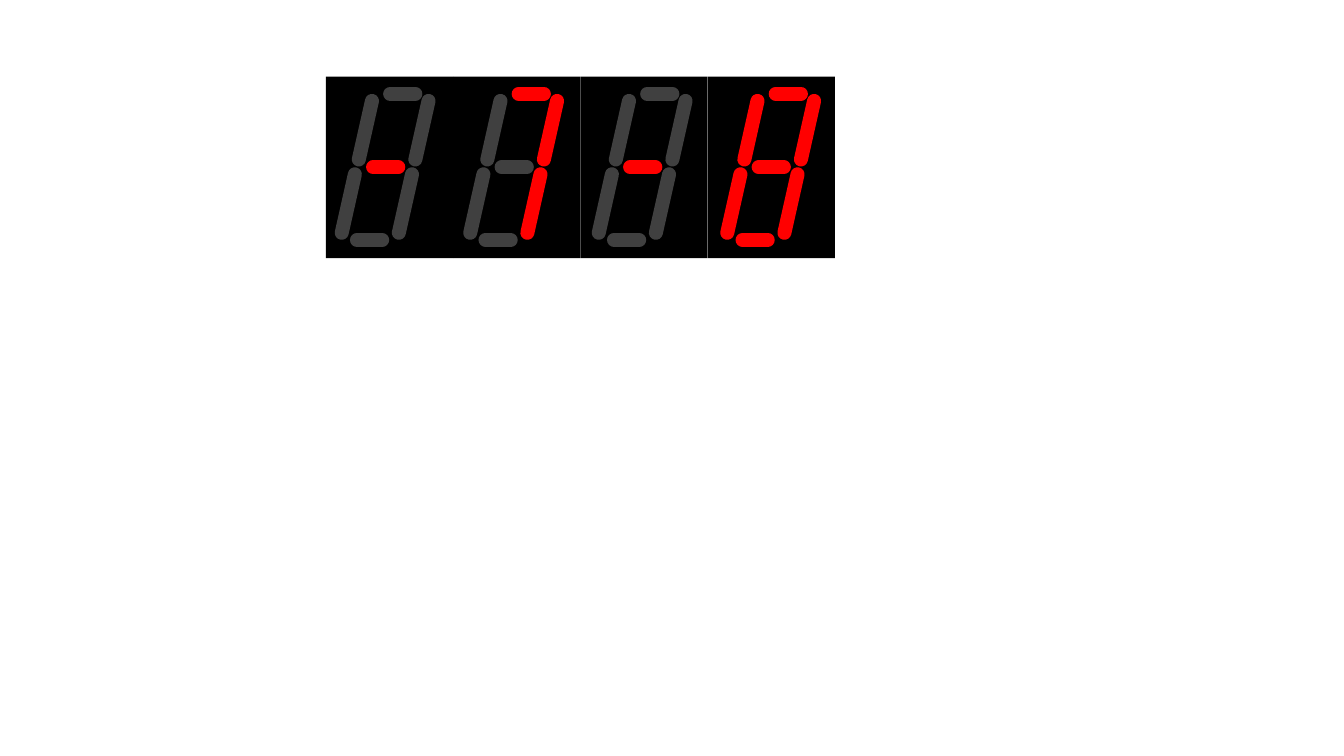
from typing import NamedTuple

from pptx import Presentation
from pptx.dml.color import RGBColor
from pptx.enum.shapes import MSO_CONNECTOR, MSO_SHAPE
from pptx.oxml.ns import qn
from pptx.oxml.xmlchemy import OxmlElement
from pptx.shapes.group import GroupShape
from pptx.slide import Slide
from pptx.util import Pt

RECTANGLE = MSO_SHAPE.RECTANGLE
STRAIGHT = MSO_CONNECTOR.STRAIGHT

BLACK = RGBColor(0x00, 0x00, 0x00)
UNLIT = RGBColor(0x40, 0x40, 0x40)
LIT = RGBColor(0xFF, 0x00, 0x00)

BLANK_LAYOUT = 6
PANEL_LEFT, PANEL_TOP = 232.8, 54.8
PANEL_WIDTH, PANEL_HEIGHT = 90.8, 129.6
PANEL_PITCH = 90.9
DIGIT_LEFT, DIGIT_PITCH = 244.1, 91.8
SEGMENT_WIDTH = 10
BAR_LENGTH = 18
SLANT, STROKE_HEIGHT = 9.4, 41.8
UPPER_BASE, LOWER_BASE = 113.9, 166.3


class Segment(NamedTuple):
    """One segment: start relative to its digit, and its run and rise."""

    name: str
    x: float
    y: float
    run: float
    rise: float


def bar(name: str, x: float, y: float) -> Segment:
    """Describe a horizontal segment."""
    return Segment(name, x, y, BAR_LENGTH, 0)


def stroke(name: str, x: float, base: float) -> Segment:
    """Describe a slanted segment that rises from its base."""
    return Segment(name, x, base, SLANT, STROKE_HEIGHT)


# Segments carry the usual seven-segment letters, a to g.
SEGMENTS = (
    bar("a", 34.6, 67),
    stroke("f", 12.2, UPPER_BASE),
    stroke("b", 52.6, UPPER_BASE),
    bar("g", 22.4, 119.4),
    stroke("e", 0, LOWER_BASE),
    stroke("c", 40.8, LOWER_BASE),
    bar("d", 10.9, 171.4),
)
LIT_SEGMENTS = {"-": "g", "7": "abc", "8": "abcdefg"}
DISPLAY = "-7-8"


def draw_panel(slide: Slide, left: float) -> None:
    """Draw the black panel behind a digit."""
    panel = slide.shapes.add_shape(
        RECTANGLE, Pt(left), Pt(PANEL_TOP), Pt(PANEL_WIDTH), Pt(PANEL_HEIGHT)
    )
    panel.shadow.inherit = False
    panel.fill.solid()
    panel.fill.fore_color.rgb = BLACK
    panel.line.fill.background()


def draw_segment(
    digit: GroupShape, segment: Segment, left: float, color: RGBColor
) -> None:
    """Draw one segment as a thick line with round ends."""
    x = left + segment.x
    line = digit.shapes.add_connector(
        STRAIGHT,
        Pt(x),
        Pt(segment.y),
        Pt(x + segment.run),
        Pt(segment.y - segment.rise),
    )
    line.line.color.rgb = color
    line.line.width = Pt(SEGMENT_WIDTH)
    properties = line.element.spPr
    properties.find(qn("a:ln")).set("cap", "rnd")
    properties.append(OxmlElement("a:effectLst"))


def draw_digit(slide: Slide, symbol: str, left: float) -> None:
    """Draw the seven segments of a symbol as one group."""
    digit = slide.shapes.add_group_shape()
    for segment in SEGMENTS:
        color = LIT if segment.name in LIT_SEGMENTS[symbol] else UNLIT
        draw_segment(digit, segment, left, color)


def main() -> None:
    """Build the slide with the four-digit display."""
    presentation = Presentation()
    presentation.slide_width = Pt(960)
    presentation.slide_height = Pt(540)
    slide = presentation.slides.add_slide(presentation.slide_layouts[BLANK_LAYOUT])
    for position, symbol in enumerate(DISPLAY):
        draw_panel(slide, PANEL_LEFT + position * PANEL_PITCH)
        draw_digit(slide, symbol, DIGIT_LEFT + position * DIGIT_PITCH)
    presentation.save("out.pptx")


main()
